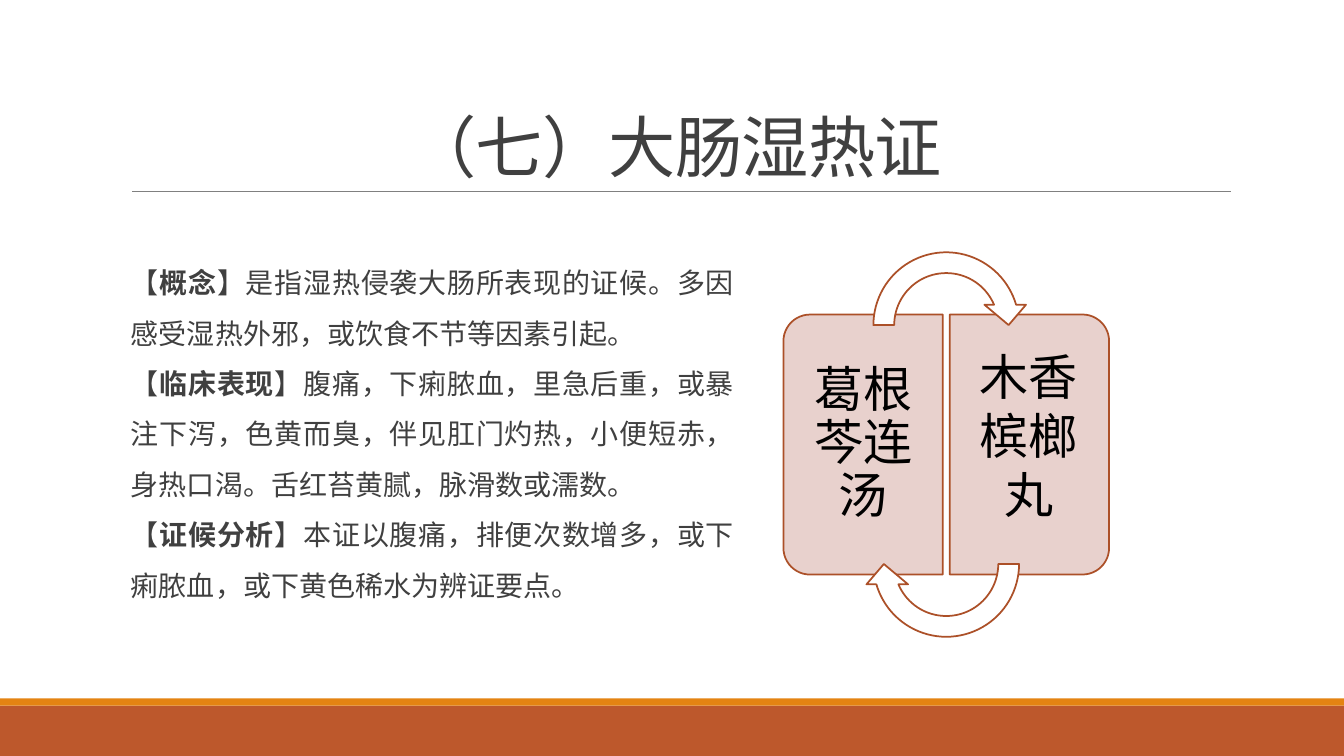
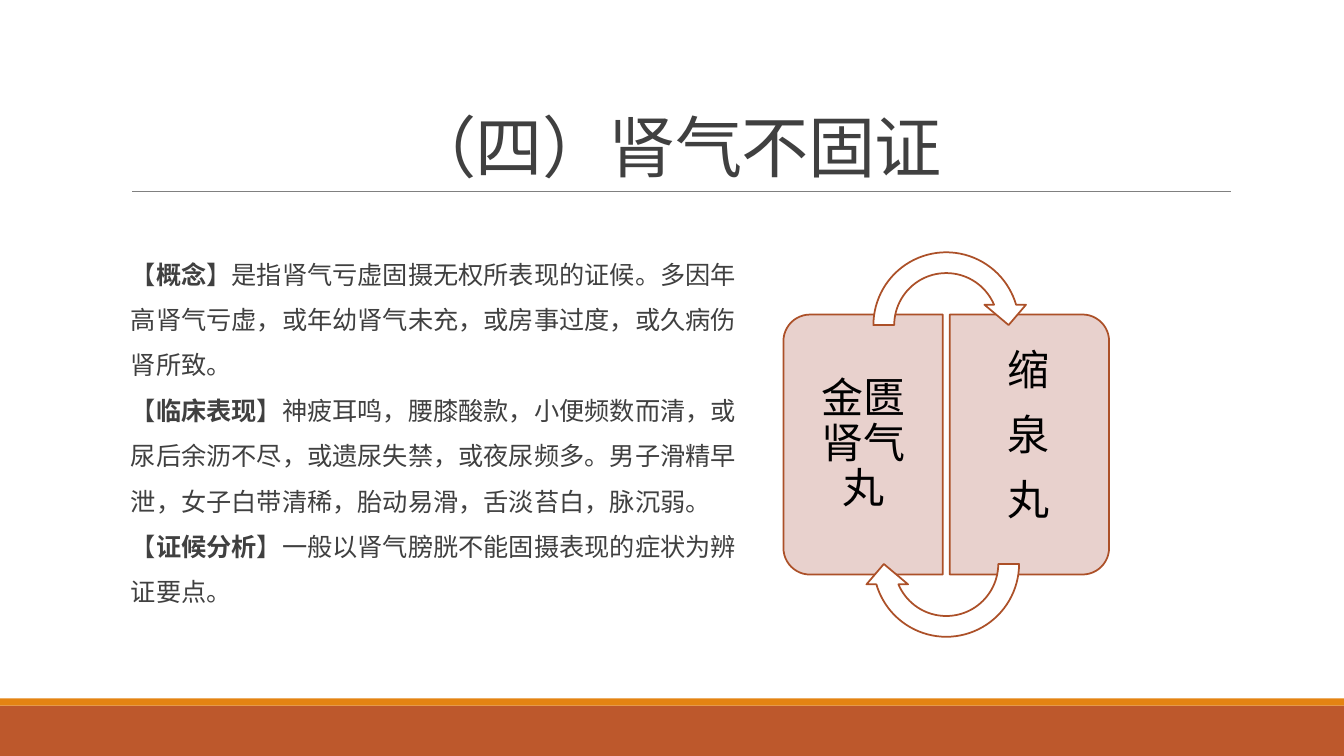
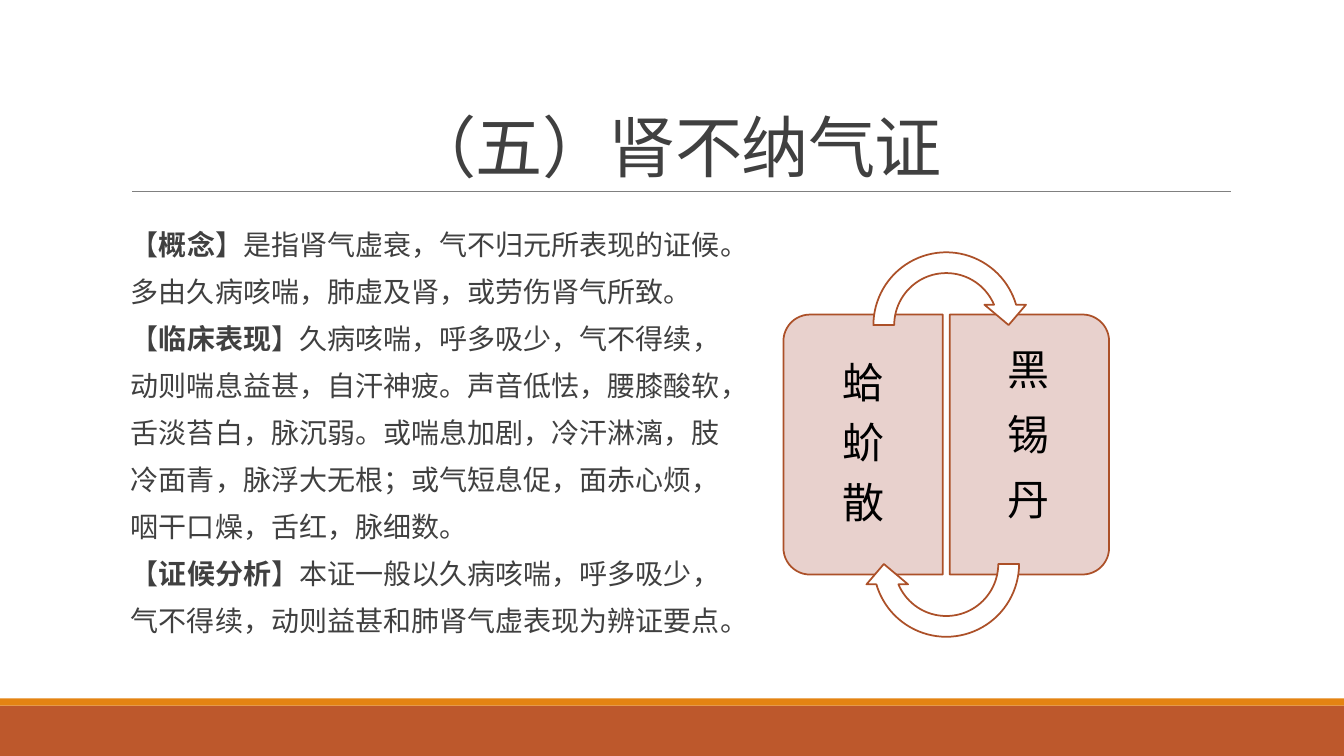
from lxml import etree
from pptx import Presentation
from pptx.dml.color import RGBColor
from pptx.enum.shapes import MSO_CONNECTOR, MSO_SHAPE
from pptx.enum.text import MSO_ANCHOR, PP_ALIGN
from pptx.oxml.ns import qn
from pptx.util import Inches, Pt

RECT = MSO_SHAPE.RECTANGLE
PANEL = MSO_SHAPE.ROUND_2_SAME_RECTANGLE
ARROW = MSO_SHAPE.CIRCULAR_ARROW
LINE = MSO_CONNECTOR.STRAIGHT
TOP, MIDDLE, BOTTOM = MSO_ANCHOR.TOP, MSO_ANCHOR.MIDDLE, MSO_ANCHOR.BOTTOM
LEFT, CENTER, JUSTIFY = PP_ALIGN.LEFT, PP_ALIGN.CENTER, PP_ALIGN.JUSTIFY

RUST, ORANGE, GRAY, INK = "BD582C", "E48312", "808080", "404040"
PINK, EDGE, WHITE, BLACK = "E8D1CD", "AC5028", "FFFFFF", "000000"
LATIN, HAN = "Calibri", "Noto Sans CJK SC"
BEND = (0.125, 11.423, 204.577, 108, 0.125)


def color(code):
    return RGBColor.from_string(code)


def add_shape(slide, kind, box, fill, edge=None, turn=0, bends=()):
    shape = slide.shapes.add_shape(kind, *map(Inches, box))
    shape.shadow.inherit = False
    shape.fill.solid()
    shape.fill.fore_color.rgb = color(fill)
    if edge:
        shape.line.color.rgb = color(edge)
        shape.line.width = Pt(1.25)
    else:
        shape.line.fill.background()
    shape.rotation = turn
    for i, bend in enumerate(bends):
        shape.adjustments[i] = bend


def add_frame(slide, box, anchor, pads):
    frame = slide.shapes.add_textbox(*map(Inches, box)).text_frame
    frame.word_wrap = True
    frame.vertical_anchor = anchor
    (frame.margin_left, frame.margin_top,
     frame.margin_right, frame.margin_bottom) = map(Inches, pads)
    return frame


def add_para(frame, first, parts, size, ink, align, space, face=HAN):
    para = frame.paragraphs[0] if first else frame.add_paragraph()
    para.alignment = align
    para.line_spacing = space
    font = para.font
    font.size = Pt(size)
    font.name = face
    font.color.rgb = color(ink)
    rpr = para._p.pPr.find(qn("a:defRPr"))
    etree.SubElement(rpr, qn("a:ea")).set("typeface", HAN)
    for text, bold in parts:
        run = para.add_run()
        run.text = text
        if bold:
            run.font.bold = True
    return para


def add_base(slide, title):
    add_shape(slide, RECT, (0, 7, 13.33, 0.5), RUST)
    add_shape(slide, RECT, (0, 6.93, 13.33, 0.07), ORANGE)
    rule = slide.shapes.add_connector(LINE, *map(Inches, (1.31, 1.9, 12.21, 1.9)))
    rule.line.color.rgb = color(GRAY)
    rule.line.width = Pt(0.5)
    etree.SubElement(rule._element.spPr, qn("a:effectLst"))
    frame = add_frame(slide, (1.2, 0.31, 11, 1.59), BOTTOM, (0.1, 0.05, 0.1, 0.05))
    para = add_para(frame, True, [(title, False)], 48, INK, CENTER, 0.85)
    para._p.pPr.find(qn("a:defRPr")).set("spc", "-50")


def add_notes(slide, box, notes, size, align, space):
    frame = add_frame(slide, box, MIDDLE, (0.1, 0.05, 0, 0.05))
    for i, (head, text) in enumerate(notes):
        parts = [("【", False), (head, True), ("】" + text, False)]
        add_para(frame, i == 0, parts, size, INK, align, space, LATIN)


def add_name(slide, box, lines, size, anchor, pads, space):
    frame = add_frame(slide, box, anchor, pads)
    for i, line in enumerate(lines):
        para = add_para(frame, i == 0, [(line, False)], size, BLACK, CENTER, space)
        para.space_after = Pt(0)
        after = para._p.pPr.find(qn("a:spcAft"))
        after.clear()
        etree.SubElement(after, qn("a:spcPct")).set("val", "35000")


def add_cycle(slide, x, y, names, size, pads):
    near, edge, far = pads
    sides = (
        (-0.5, 270, 0.08, MIDDLE, (near, edge, far, edge), 0.9),
        (1.15, 90, 1.65, TOP, (far, edge, near, edge), 1.0),
    )
    for lines, (dx, turn, tx, anchor, gaps, space) in zip(names, sides):
        add_shape(slide, PANEL, (x + dx, y + 1.22, 2.58, 1.58), PINK, EDGE,
                  turn, (0.167, 0))
        add_name(slide, (x + tx, y + 0.8, 1.5, 2.43), lines, size, anchor, gaps, space)
    for dy, turn in ((0, 0), (2.37, 180)):
        add_shape(slide, ARROW, (x + 0.79, y + dy, 1.65, 1.65), WHITE, EDGE, turn, BEND)


HEADS = ("概念", "临床表现", "证候分析")
WIDE, SLIM = (0.15, 0.24, 0.22), (0.12, 0.21, 0.19)
PAGES = (
    dict(
        title="（七）大肠湿热证",
        notes=(
            "是指湿热侵袭大肠所表现的证候。多因感受湿热外邪，或饮食不节等因素引起。",
            "腹痛，下痢脓血，里急后重，或暴注下泻，色黄而臭，伴见肛门灼热，小便短赤，"
            "身热口渴。舌红苔黄腻，脉滑数或濡数。",
            "本证以腹痛，排便次数增多，或下痢脓血，或下黄色稀水为辨证要点。",
        ),
        style=(20, JUSTIFY, 1.5), width=6.08,
        names=(["葛根芩连汤"], ["木香槟榔丸"]), size=35, pads=WIDE,
    ),
    dict(
        title="（四）肾气不固证",
        notes=(
            "是指肾气亏虚固摄无权所表现的证候。多因年高肾气亏虚，或年幼肾气未充，"
            "或房事过度，或久病伤肾所致。",
            "神疲耳鸣，腰膝酸款，小便频数而清，或尿后余沥不尽，或遗尿失禁，或夜尿频多。"
            "男子滑精早泄，女子白带清稀，胎动易滑，舌淡苔白，脉沉弱。",
            "一般以肾气膀胱不能固摄表现的症状为辨证要点。",
        ),
        style=(18, LEFT, 1.5), width=6.17,
        names=(["金匮肾气丸"], "缩泉丸"), size=30, pads=SLIM,
    ),
    dict(
        title="（五）肾不纳气证",
        notes=(
            "是指肾气虚衰，气不归元所表现的证候。多由久病咳喘，肺虚及肾，或劳伤肾气所致。",
            "久病咳喘，呼多吸少，气不得续，动则喘息益甚，自汗神疲。声音低怯，腰膝酸软，"
            "舌淡苔白，脉沉弱。或喘息加剧，冷汗淋漓，肢冷面青，脉浮大无根；或气短息促，"
            "面赤心烦，咽干口燥，舌红，脉细数。",
            "本证一般以久病咳喘，呼多吸少，气不得续，动则益甚和肺肾气虚表现为辨证要点。",
        ),
        style=(20, LEFT, 1.4), width=6.08,
        names=("蛤蚧散", "黑锡丹"), size=30, pads=SLIM,
    ),
)


def main():
    deck = Presentation()
    deck.slide_width, deck.slide_height = Inches(13.33), Inches(7.5)
    for page in PAGES:
        slide = deck.slides.add_slide(deck.slide_layouts[6])
        add_base(slide, page["title"])
        add_notes(slide, (1.2, 2.02, page["width"], 4.4),
                  zip(HEADS, page["notes"]), *page["style"])
        add_cycle(slide, 7.77, 2.4, page["names"], page["size"], page["pads"])
    deck.save("out.pptx")


if __name__ == "__main__":
    main()
